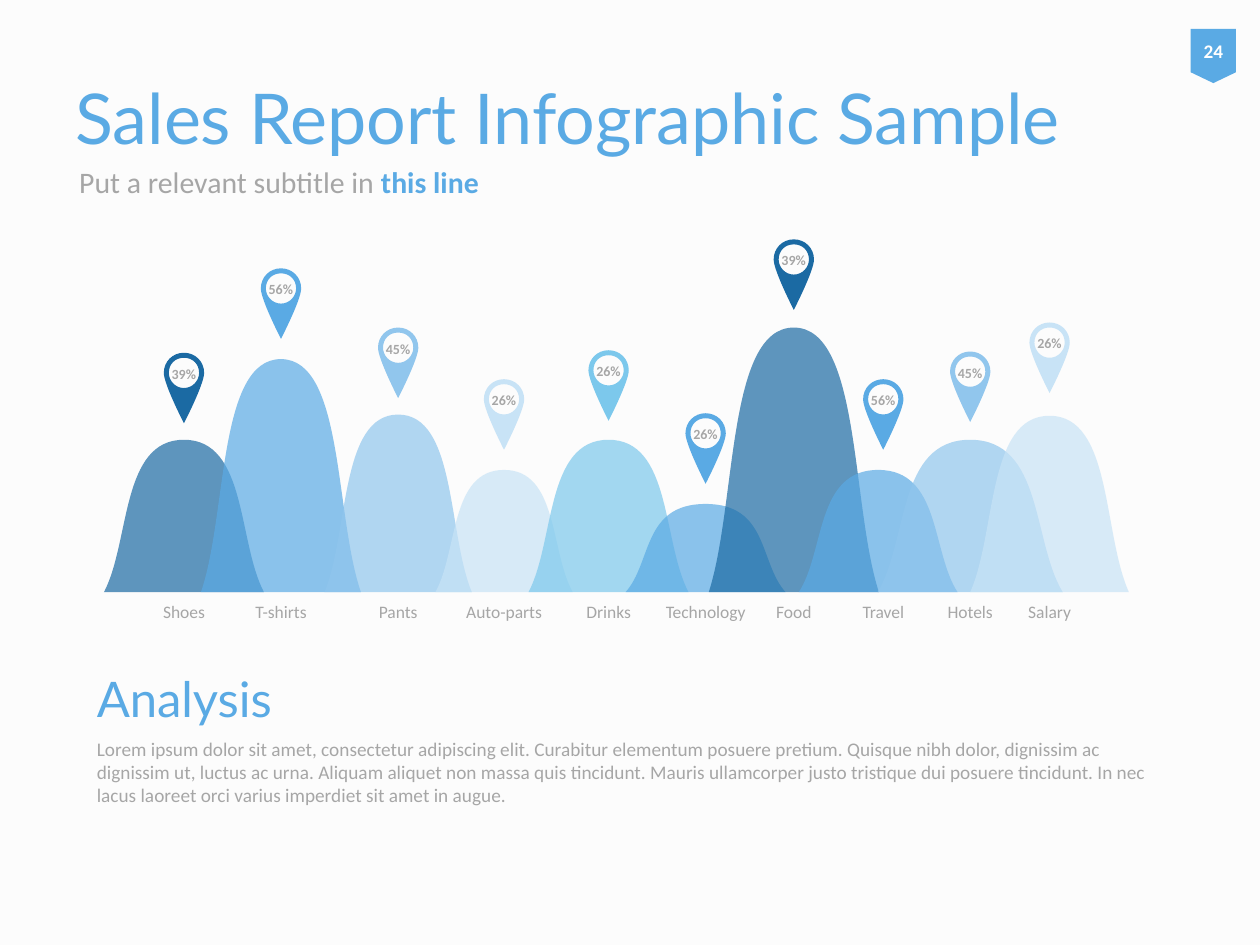
from pptx import Presentation
from pptx.dml.color import RGBColor
from pptx.enum.shapes import MSO_SHAPE
from pptx.enum.text import MSO_ANCHOR, PP_ALIGN
from pptx.oxml.ns import qn
from pptx.util import Inches, Pt
from lxml import etree

CENTER, LEFT = PP_ALIGN.CENTER, PP_ALIGN.LEFT
MIDDLE, TOP = MSO_ANCHOR.MIDDLE, MSO_ANCHOR.TOP
BLUE, NAVY, SKY, PALE, CYAN = "5AAAE4", "1B6AA3", "91C6ED", "C8E3F6", "7CC8EC"
GRAY, WHITE, PAPER = "A6A6A6", "FFFFFF", "FCFCFC"

# name, share, colour, hill centre, hill width, hill top, pin centre, pin top
CATEGORIES = [
    ("Shoes", "39%", NAVY, 1.46, 1.27, 3.49, 1.46, 2.8),
    ("T-shirts", "56%", BLUE, 2.23, 1.27, 2.85, 2.23, 2.13),
    ("Pants", "45%", SKY, 3.16, 1.17, 3.29, 3.16, 2.6),
    ("Auto-parts", "26%", PALE, 4, 1.09, 3.73, 4, 3.01),
    ("Drinks", "26%", CYAN, 4.83, 1.27, 3.49, 4.83, 2.78),
    ("Technology", "26%", BLUE, 5.6, 1.27, 4, 5.6, 3.28),
    ("Food", "39%", NAVY, 6.3, 1.35, 2.6, 6.3, 1.9),
    ("Travel", "56%", BLUE, 6.97, 1.26, 3.73, 7.01, 3.01),
    ("Hotels", "45%", SKY, 7.7, 1.47, 3.49, 7.7, 2.79),
    ("Salary", "26%", PALE, 8.33, 1.26, 3.3, 8.33, 2.56),
]
ANALYSIS = (
    "Lorem ipsum dolor sit amet, consectetur adipiscing elit. Curabitur elementum "
    "posuere pretium. Quisque nibh dolor, dignissim ac dignissim ut, luctus ac urna. "
    "Aliquam aliquet non massa quis tincidunt. Mauris ullamcorper justo tristique dui "
    "posuere tincidunt. In nec lacus laoreet orci varius imperdiet sit amet in augue."
)
PIN_BODY = [(0, 0), (-0.09, 0), (-0.16, 0.07), (-0.16, 0.16),
            (-0.16, 0.25), (0, 0.56), (0, 0.56)]
PIN_HOLE = [(0, 0.04), (-0.07, 0.04), (-0.12, 0.09), (-0.12, 0.16),
            (-0.12, 0.22), (-0.07, 0.28), (0, 0.28)]
BASELINE = 4.7


def rgb(value):
    return RGBColor.from_string(value)


def write(tf, runs, size, font="Calibri", align=LEFT, anchor=TOP, wrap=True):
    tf.word_wrap = wrap
    tf.vertical_anchor = anchor
    p = tf.paragraphs[0]
    p.alignment = align
    for text, color, bold in runs:
        r = p.add_run()
        r.text = text
        r.font.name, r.font.size, r.font.bold = font, Pt(size), bold
        r.font.color.rgb = rgb(color)


def add_text(box, runs, size, **style):
    tb = slide.shapes.add_textbox(*map(Inches, box))
    write(tb.text_frame, runs, size, **style)


def paint(shape, color):
    shape.shadow.inherit = False
    shape.fill.solid()
    shape.fill.fore_color.rgb = rgb(color)
    shape.line.fill.background()


def lines_to_curves(shape):
    lines = list(shape.element.iter(qn("a:lnTo")))
    for i in range(0, len(lines), 3):
        curve = etree.Element(qn("a:cubicBezTo"))
        lines[i].addprevious(curve)
        for line in lines[i:i + 3]:
            curve.append(line[0])
            line.getparent().remove(line)


def add_outline(cx, top, halves, color):
    builder = None
    for half in halves:
        points = half + [(-x, y) for x, y in half[-2::-1]]
        pts = [(Inches(cx + x), Inches(top + y)) for x, y in points]
        if builder is None:
            builder = slide.shapes.build_freeform(*pts[0])
        else:
            builder.move_to(*pts[0])
        builder.add_line_segments(pts[1:], close=True)
    shape = builder.convert_to_shape()
    lines_to_curves(shape)
    paint(shape, color)
    return shape


def add_pin(cx, top, share, color):
    add_outline(cx, top, [PIN_BODY, PIN_HOLE], color)
    add_text((cx - 0.2, top + 0.05, 0.4, 0.24), [(share, GRAY, True)], 8,
             align=CENTER, wrap=False)


def add_hill(cx, width, top, label_x, name, color):
    h = BASELINE - top
    half = [(-width / 2, h), (-0.335 * width, 0.67 * h), (-0.395 * width, 0), (0, 0)]
    hill = add_outline(cx, top, [half], color)
    clr = hill.element.spPr.find(".//" + qn("a:srgbClr"))
    etree.SubElement(clr, qn("a:alpha")).set("val", "70000")
    add_text((label_x - 0.46, BASELINE + 0.02, 0.92, 0.27),
             [(name, GRAY, False)], 10, align=CENTER)


prs = Presentation()
prs.slide_width, prs.slide_height = Inches(10), Inches(7.5)
slide = prs.slides.add_slide(prs.slide_layouts[6])
slide.background.fill.solid()
slide.background.fill.fore_color.rgb = rgb(PAPER)

add_text((0.5, 0.3, 8.46, 1.25), [("Sales Report Infographic Sample", BLUE, False)], 40,
         font="Lato", anchor=MIDDLE)
add_text((0.53, 1.18, 4.69, 0.53),
         [("Put a relevant subtitle in ", GRAY, False), ("this line", BLUE, True)],
         17, anchor=MIDDLE)

for name, share, color, cx, width, top, pin_x, pin_top in CATEGORIES:
    add_pin(pin_x, pin_top, share, color)

add_text((0.67, 5.8, 8.74, 0.89), [(ANALYSIS, GRAY, False)], 11)
add_text((0.67, 5.15, 2.76, 0.78), [("Analysis", BLUE, False)], 28,
         font="Lato", anchor=MIDDLE)

for name, share, color, cx, width, top, pin_x, pin_top in CATEGORIES:
    add_hill(cx, width, top, pin_x, name, color)

badge = slide.shapes.add_shape(MSO_SHAPE.FLOWCHART_OFFPAGE_CONNECTOR,
                               *map(Inches, (9.45, 0.23, 0.36, 0.43)))
paint(badge, BLUE)
tf = badge.text_frame
tf.margin_left = tf.margin_right = 0
write(tf, [("24", WHITE, True)], 11, align=CENTER, anchor=MIDDLE)

prs.save("out.pptx")
